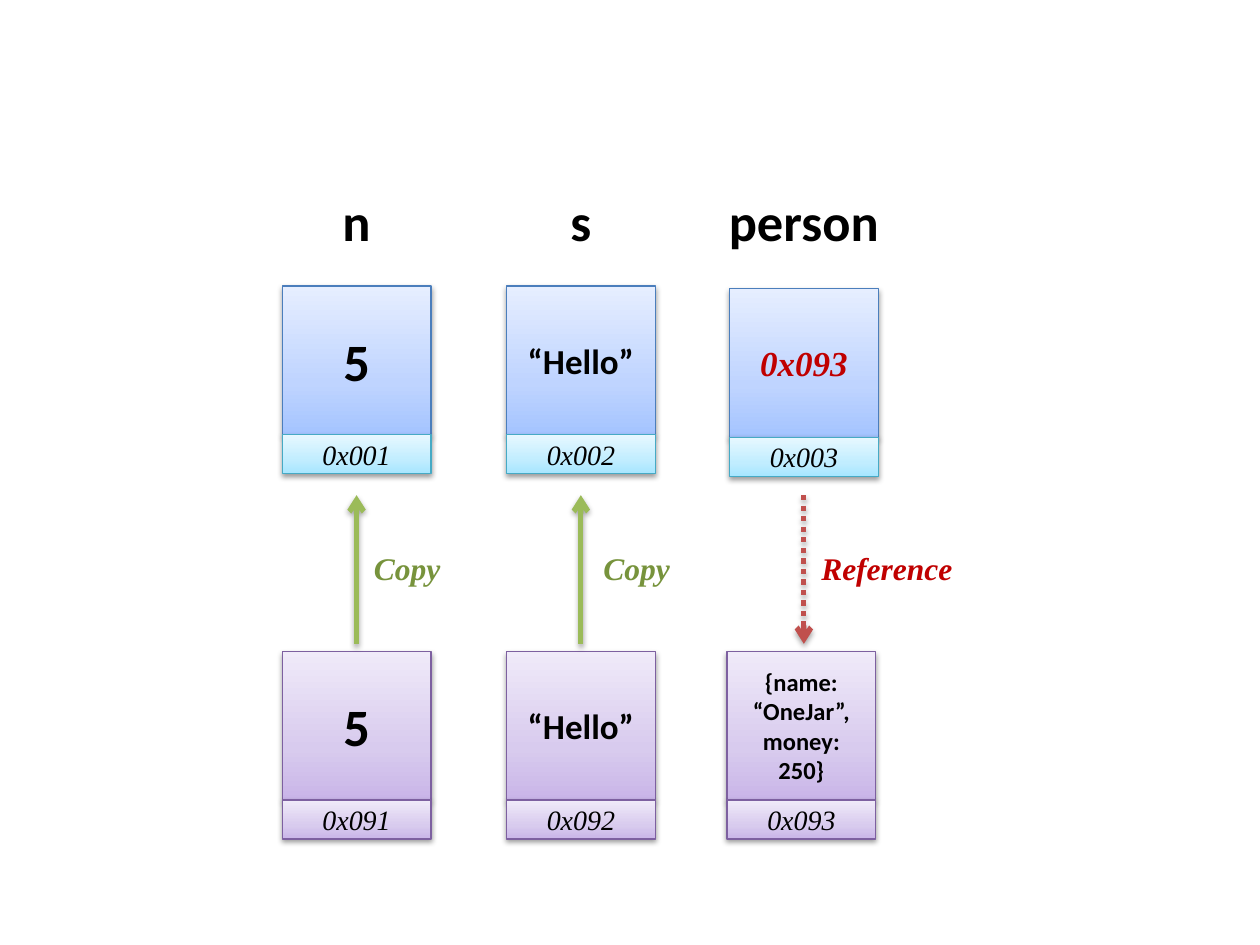
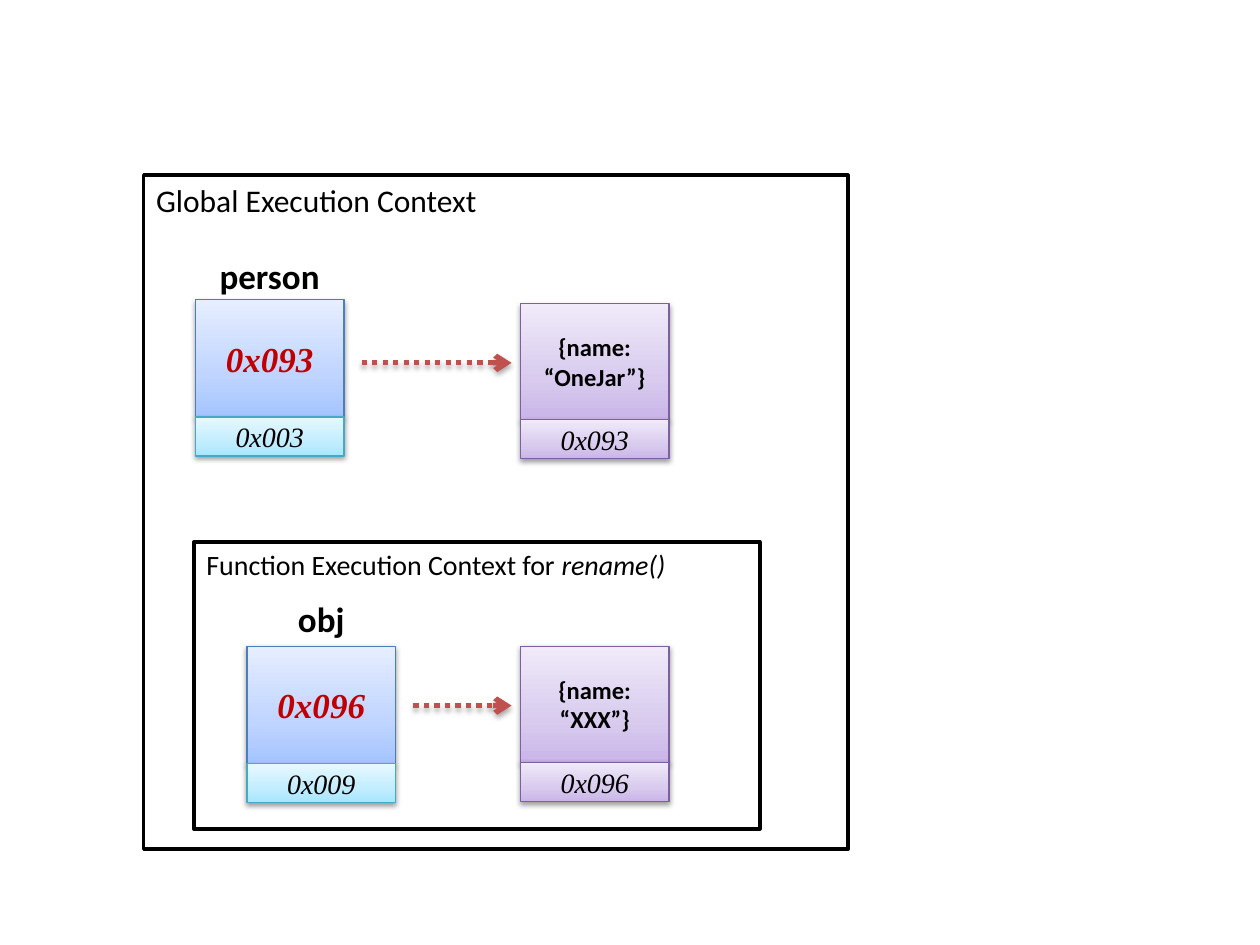
from lxml import etree
from pptx import Presentation
from pptx.dml.color import RGBColor
from pptx.enum import dml, shapes, text
from pptx.oxml.ns import qn
from pptx.util import Inches, Pt

BLACK = RGBColor(0, 0, 0)
WHITE = RGBColor(255, 255, 255)
CRIMSON = RGBColor(0xC0, 0, 0)
RED = RGBColor(0xC0, 0x50, 0x4D)
LIME = RGBColor(0x9B, 0xBB, 0x59)
OLIVE = RGBColor(0x77, 0x93, 0x3C)
BLUE_EDGE = RGBColor(0x4B, 0x7E, 0xBC)
AQUA_EDGE = RGBColor(0x46, 0xAA, 0xC5)
PLUM_EDGE = RGBColor(0x7D, 0x60, 0xA0)
BLUES = [RGBColor(0xA4, 0xC4, 0xFF), RGBColor(0xBF, 0xD4, 0xFF), RGBColor(0xE6, 0xEE, 0xFF)]
AQUAS = [RGBColor(0xA7, 0xE6, 0xFF), RGBColor(0xC1, 0xED, 0xFF), RGBColor(0xE7, 0xF8, 0xFF)]
PLUMS = [RGBColor(0xC9, 0xB5, 0xE8), RGBColor(0xD8, 0xCB, 0xEE), RGBColor(0xF0, 0xEA, 0xF9)]
BLUE, AQUA, PLUM = (BLUES, BLUE_EDGE), (AQUAS, AQUA_EDGE), (PLUMS, PLUM_EDGE)
STOPS = (0, 35000, 100000)

SANS, SERIF = "Calibri", "Times New Roman"
SIDE, STRIP = 1.18, 0.31
LEFT, MID = text.PP_ALIGN.LEFT, text.PP_ALIGN.CENTER


def node(parent, tag, **attrs):
    return etree.SubElement(parent, qn(tag), {k: str(v) for k, v in attrs.items()})


def tint(parent, color):
    return node(parent, "a:srgbClr", val=color)


def shade(effects, dist, alpha):
    drop = node(effects, "a:outerShdw", blurRad=40000, dist=dist, dir=5400000, rotWithShape=0)
    node(tint(drop, BLACK), "a:alpha", val=alpha)


def write(para, words, size, font=SANS, color=BLACK, bold=False, slant=False):
    run = para.add_run()
    run.text = words
    run.font.size = Pt(size)
    run.font.name = font
    run.font.color.rgb = color
    run.font.bold = bold
    run.font.italic = slant


def label(host, x, y, w, h, words, size, align=LEFT, **style):
    box = host.shapes.add_textbox(Inches(x), Inches(y), Inches(w), Inches(h))
    frame = box.text_frame
    frame.word_wrap = True
    frame.auto_size = text.MSO_AUTO_SIZE.SHAPE_TO_FIT_TEXT
    frame.paragraphs[0].alignment = align
    write(frame.paragraphs[0], words, size, **style)


def block(host, x, y, w, h):
    box = host.shapes.add_shape(
        shapes.MSO_SHAPE.RECTANGLE, Inches(x), Inches(y), Inches(w), Inches(h))
    box.shadow.inherit = False
    return box


def tile(host, x, y, h, look, words, size, **style):
    colors, edge = look
    box = block(host, x, y, SIDE, h)
    box.fill.gradient()
    box.fill.gradient_angle = 90
    props = box.element.spPr
    stops = props.find(qn("a:gradFill")).find(qn("a:gsLst"))
    for old in list(stops):
        stops.remove(old)
    for pos, color in zip(STOPS, colors):
        tint(node(stops, "a:gs", pos=pos), color)
    box.line.color.rgb = edge
    box.line.width = Pt(0.75)
    shade(props.find(qn("a:effectLst")), 20000, 38000)
    box.text_frame.vertical_anchor = text.MSO_ANCHOR.MIDDLE
    para = box.text_frame.paragraphs[0]
    para.alignment = MID
    write(para, words, size, **style)


def cell(slide, x, y, h, look, base, words, size, place, **style):
    group = slide.shapes.add_group_shape()
    tile(group, x, y, h, look, words, size, **style)
    tile(group, x, y + h, STRIP, base, place, 16, font=SERIF, slant=True)
    return group


def holder(slide, x, y, h, words, size, place, name, w, rise, tall, big, **style):
    group = cell(slide, x, y, h, BLUE, AQUA, words, size, place, **style)
    label(group, x + (SIDE - w) / 2, y - rise, w, tall, name, big, MID, bold=True)


def value(slide, x, y, h, words, size, place):
    cell(slide, x, y, h, PLUM, PLUM, words, size, place, bold=True)


def arrow(slide, x1, y1, x2, y2, color, dots=False):
    line = slide.shapes.add_connector(
        shapes.MSO_CONNECTOR.STRAIGHT, Inches(x1), Inches(y1), Inches(x2), Inches(y2))
    line.line.color.rgb = color
    line.line.width = Pt(3)
    if dots:
        line.line.dash_style = dml.MSO_LINE.ROUND_DOT
    props = line.element.spPr
    node(props.find(qn("a:ln")), "a:tailEnd", type="arrow")
    shade(node(props, "a:effectLst"), 23000, 35000)


def context(slide, x, y, w, h, size, parts):
    box = block(slide, x, y, w, h)
    box.fill.solid()
    box.fill.fore_color.rgb = WHITE
    box.line.color.rgb = BLACK
    box.line.width = Pt(2)
    box.text_frame.vertical_anchor = text.MSO_ANCHOR.TOP
    para = box.text_frame.paragraphs[0]
    para.alignment = LEFT
    for words, slant in parts:
        write(para, words, size, slant=slant)


LINK = dict(font=SERIF, color=CRIMSON, bold=True, slant=True)
COPY = dict(LINK, color=OLIVE)


def copies(slide):
    top, low, start, end = 2.27, 5.17, 3.93, 5.11
    for x, name, words, size, num, gap in (
            (2.24, "n", "5", 30, 1, 0.63), (4.02, "s", "“Hello”", 20, 2, 0.67)):
        holder(slide, x, top, SIDE, words, size, f"0x00{num}",
               name, 0.87, 0.82, 0.61, 30, bold=True)
        value(slide, x, low, SIDE, words, size, f"0x09{num}")
        arrow(slide, x + SIDE / 2, end, x + SIDE / 2, start, LIME)
        label(slide, x + gap, 4.31, 1.57, 0.4, "Copy", 18, **COPY)
    x = 5.79
    holder(slide, x, top + 0.02, SIDE, "0x093", 20, "0x003",
           "person", 1.5, 0.84, 0.61, 30, **LINK)
    value(slide, x - 0.02, low, SIDE, "{name: “OneJar”, money: 250}", 14, "0x093")
    arrow(slide, x + SIDE / 2, start, x + SIDE / 2, end, RED, True)
    label(slide, x + 0.63, 4.31, 1.57, 0.4, "Reference", 18, **LINK)


def scopes(slide):
    context(slide, 1.14, 1.39, 5.59, 5.35, 18, [("Global Execution Context", False)])
    context(slide, 1.54, 4.3, 4.49, 2.28, 16,
            [("Function Execution Context for ", False), ("rename()", True)])
    for x, y, low, mid, rise, name, place, link, words in (
            (1.55, 2.38, 2.41, 2.88, 0.41, "person", "0x003", "0x093", "{name: “OneJar”}"),
            (1.96, 5.13, 5.13, 5.6, 0.44, "obj", "0x009", "0x096", "{name: “XXX”}")):
        holder(slide, x, y, 0.93, link, 20, place, name, 1.5, rise, 0.44, 20, **LINK)
        value(slide, 4.13, low, 0.92, words, 14, link)
        arrow(slide, x + 1.32, mid, 4.06, mid, RED, True)


def main():
    deck = Presentation()
    deck.slide_width, deck.slide_height = Inches(10), Inches(7.5)
    for draw in (copies, scopes):
        draw(deck.slides.add_slide(deck.slide_layouts[6]))
    deck.save("out.pptx")


if __name__ == "__main__":
    main()
